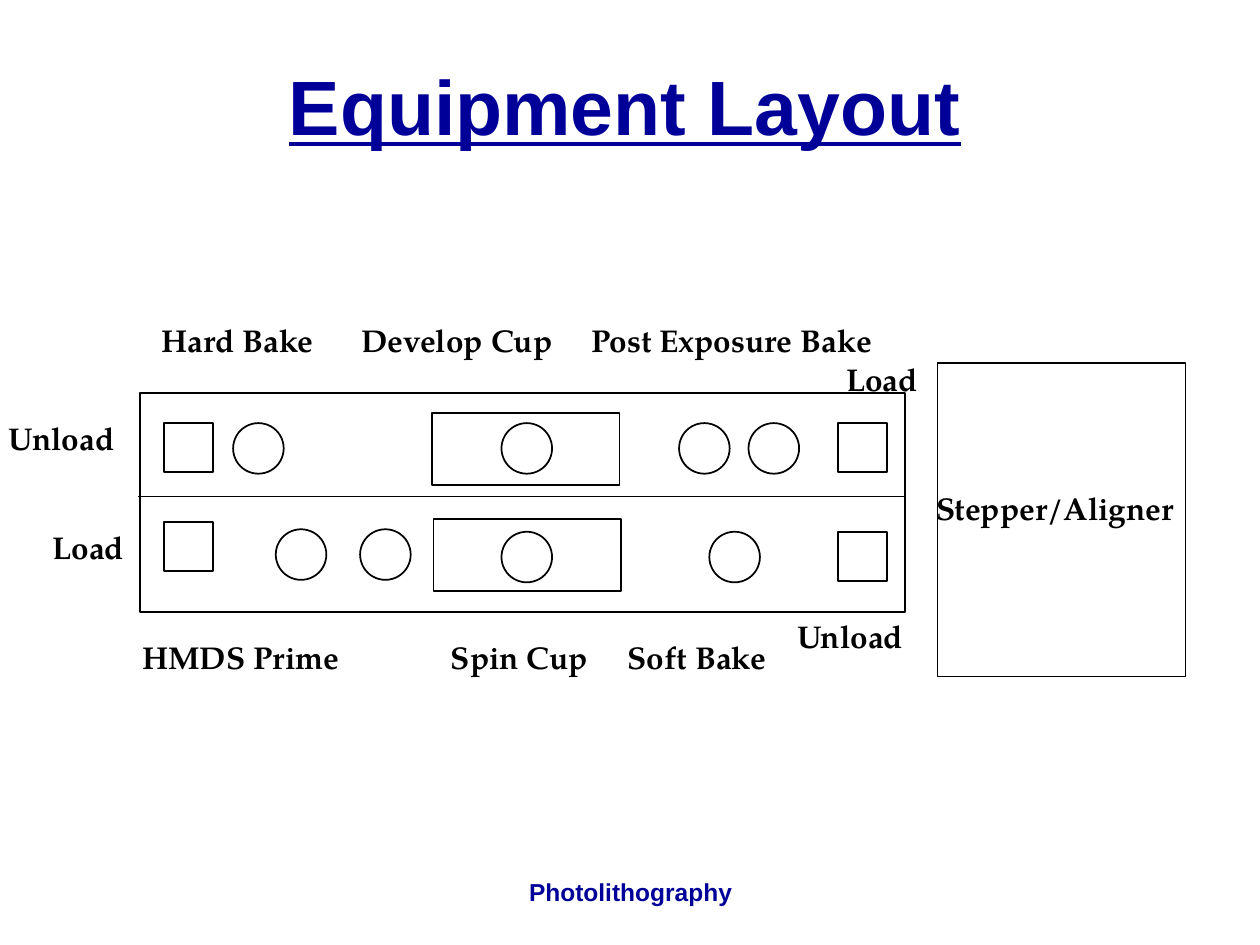
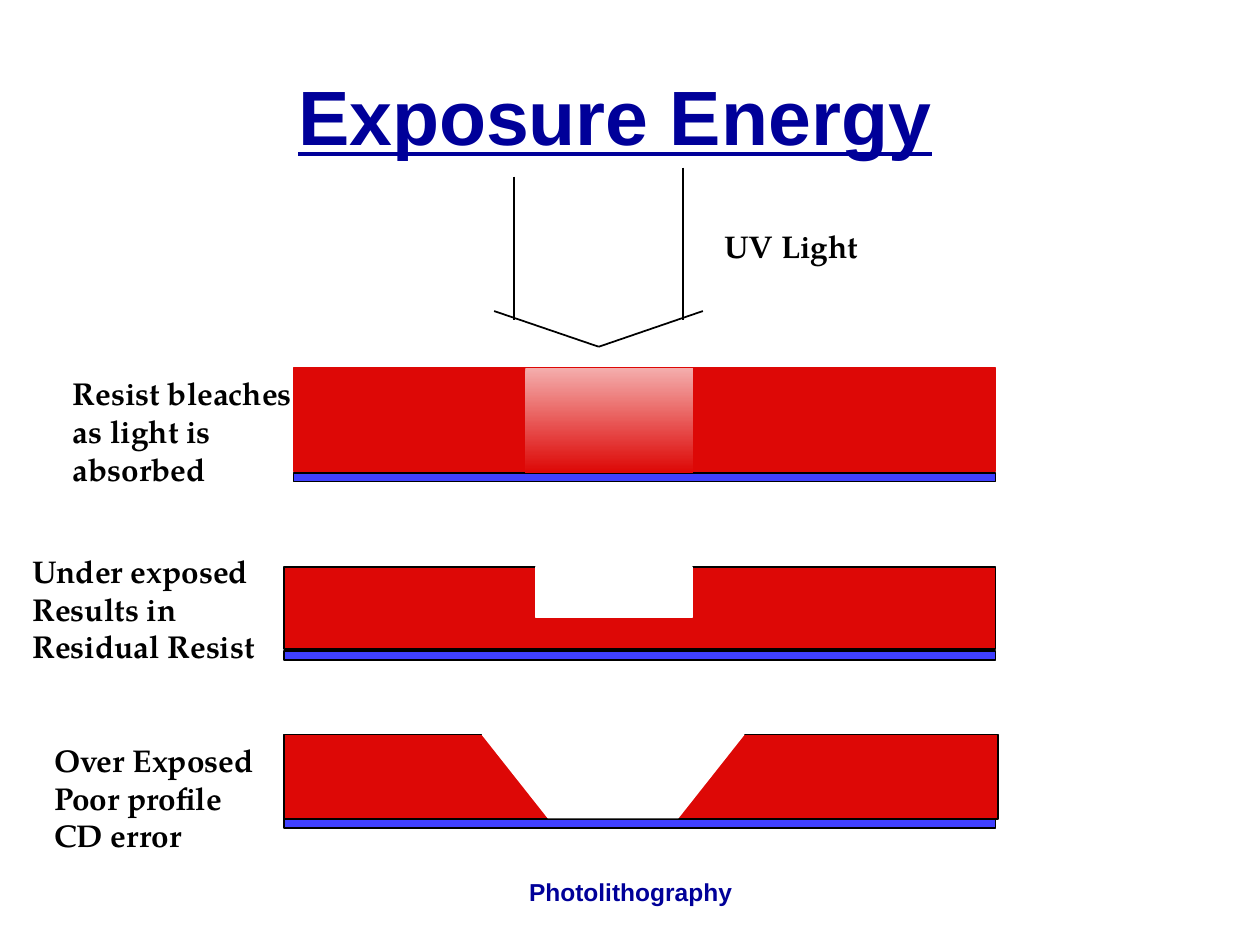
from lxml import etree
from pptx import Presentation
from pptx.dml.color import RGBColor
from pptx.enum import shapes, text
from pptx.oxml.ns import qn
from pptx.util import Cm, Pt

COLORS = {"navy": "000099", "black": "000000", "white": "FFFFFF",
          "resist": "DD0806", "bleached": "F4ADAC", "wafer": "4040FF"}
RGB = {name: RGBColor.from_string(value) for name, value in COLORS.items()}
RECT = shapes.MSO_SHAPE.RECTANGLE
OVAL = shapes.MSO_SHAPE.OVAL


def add_outlined(s, kind, x, y, w, h, fill="white", line="black"):
    sp = s.shapes.add_shape(kind, Cm(x), Cm(y), Cm(w), Cm(h))
    sp.shadow.inherit = False
    sp.fill.solid()
    sp.fill.fore_color.rgb = RGB[fill]
    sp.line.color.rgb = RGB[line]
    sp.line.width = Pt(1)
    return sp


def add_line(s, x1, y1, x2, y2):
    ln = s.shapes.add_connector(shapes.MSO_CONNECTOR.STRAIGHT,
                                Cm(x1), Cm(y1), Cm(x2), Cm(y2))
    ln.line.color.rgb = RGB["black"]
    ln.line.width = Pt(1)
    etree.SubElement(ln._element.spPr, qn("a:effectLst"))


prs = Presentation()
prs.slide_width, prs.slide_height = Cm(25.4), Cm(19.05)
layout = prs.slide_layouts[5]

# Titles and footers
for title, x, y in [("Equipment Layout", 1.27, 0.64),
                    ("Exposure Energy", 1.07, 0.84)]:
    s = prs.slides.add_slide(layout)
    sp = s.shapes.title
    sp.left, sp.top, sp.width, sp.height = Cm(x), Cm(y), Cm(22.66), Cm(3.18)
    footer = s.shapes.add_textbox(Cm(8.69), Cm(17.35), Cm(8.05), Cm(1.27))
    for box, words, size in [(sp, title, 44), (footer, "Photolithography", 14)]:
        tf = box.text_frame
        tf.word_wrap = True
        tf.vertical_anchor = text.MSO_ANCHOR.MIDDLE
        p = tf.paragraphs[0]
        p.alignment = text.PP_ALIGN.CENTER
        r = p.add_run()
        r.text = words
        r.font.name, r.font.size, r.font.bold = "Arial", Pt(size), True
        r.font.color.rgb = RGB["navy"]
    p = sp.text_frame.paragraphs[0]
    p.line_spacing = 0.9
    p.runs[0].font.underline = True

layout_slide, energy_slide = prs.slides

# Coater/developer track and stepper
s = layout_slide
add_outlined(s, RECT, 2.82, 7.92, 15.42, 4.42)
add_line(s, 2.79, 10.01, 18.24, 10.01)
add_outlined(s, RECT, 18.9, 7.32, 5, 6.32)
for x, y in [(8.71, 8.33), (8.74, 10.46)]:
    add_outlined(s, RECT, x, y, 3.78, 1.45)
for x, y in [(4.7, 8.53), (10.11, 8.53), (13.69, 8.53), (15.09, 8.53),
             (5.56, 10.67), (7.26, 10.67), (10.11, 10.72), (14.3, 10.72)]:
    add_outlined(s, OVAL, x, y, 1.02, 1.02)
for x, y in [(3.3, 8.53), (16.89, 8.53), (3.3, 10.52), (16.89, 10.72)]:
    add_outlined(s, RECT, x, y, 0.99, 0.99)

# UV light arrow
s = energy_slide
for ends in [(10.36, 3.56, 10.36, 6.45), (13.77, 3.38, 13.77, 6.45),
             (9.96, 6.27, 12.07, 6.99), (12.07, 6.99, 14.17, 6.27)]:
    add_line(s, *ends)

# Resist on wafer: left, resist top, resist width and height, wafer top and width
for x, y, w, h, wafer_y, wafer_w, line in [
        (5.92, 7.42, 14.15, 2.08, 9.53, 14.15, "resist"),
        (5.72, 11.43, 14.35, 1.65, 13.13, 14.35, "black"),
        (5.72, 14.81, 14.4, 1.7, 16.51, 14.35, "black")]:
    add_outlined(s, RECT, x, wafer_y, wafer_w, 0.18, "wafer")
    add_outlined(s, RECT, x, y, w, h, "resist", line)

bleach = add_outlined(s, RECT, 10.59, 7.42, 3.38, 2.11)
bleach.line.fill.background()
bleach.fill.gradient()
bleach.fill.gradient_angle = 270
for stop, name in zip(bleach.fill.gradient_stops, ["bleached", "resist"]):
    stop.color.rgb = RGB[name]

add_outlined(s, RECT, 10.8, 11.43, 3.15, 1.02, "white", "white")

fb = s.shapes.build_freeform(Cm(9.73), Cm(14.81))
fb.add_line_segments([(Cm(x), Cm(y)) for x, y in
                      [(14.99, 14.81), (13.67, 16.48), (11.05, 16.48)]])
opening = fb.convert_to_shape()
opening.shadow.inherit = False
opening.fill.solid()
opening.fill.fore_color.rgb = RGB["white"]
opening.line.color.rgb = RGB["white"]
opening.line.width = Pt(1)

# Labels: left, top, width, lines
layout_labels = [
    (3, 6.35, 3.8, ["Hard Bake"]),
    (7.04, 6.35, 4.6, ["Develop Cup"]),
    (11.68, 6.35, 6.6, ["Post Exposure Bake"]),
    (2.62, 12.73, 4.8, ["HMDS Prime"]),
    (8.84, 12.73, 3.5, ["Spin Cup"]),
    (12.4, 12.73, 3.6, ["Soft Bake"]),
    (18.62, 9.73, 5.61, ["Stepper/Aligner"]),
    (-0.08, 8.33, 2.82, ["Unload"]),
    (0.81, 10.52, 2.11, ["Load"]),
    (16.81, 7.14, 2.11, ["Load"]),
    (15.82, 12.32, 2.82, ["Unload"])]
energy_labels = [
    (14.35, 4.45, 3.5, ["UV Light"]),
    (1.22, 7.42, 5.54, ["Resist bleaches", "as light is", "absorbed"]),
    (0.41, 11, 5.51, ["Under exposed", "Results in", "Residual Resist"]),
    (0.84, 14.81, 4.98, ["Over Exposed", "Poor profile", "CD error"])]
for s, labels in [(layout_slide, layout_labels), (energy_slide, energy_labels)]:
    for x, y, w, lines in labels:
        tf = s.shapes.add_textbox(Cm(x), Cm(y), Cm(w),
                                  Cm(0.25 + 0.76 * len(lines))).text_frame
        tf.word_wrap = True
        for i, words in enumerate(lines):
            p = tf.add_paragraph() if i else tf.paragraphs[0]
            r = p.add_run()
            r.text = words
            r.font.name, r.font.size, r.font.bold = "TeX Gyre Pagella", Pt(18), True
            r.font.color.rgb = RGB["black"]

prs.save("out.pptx")
